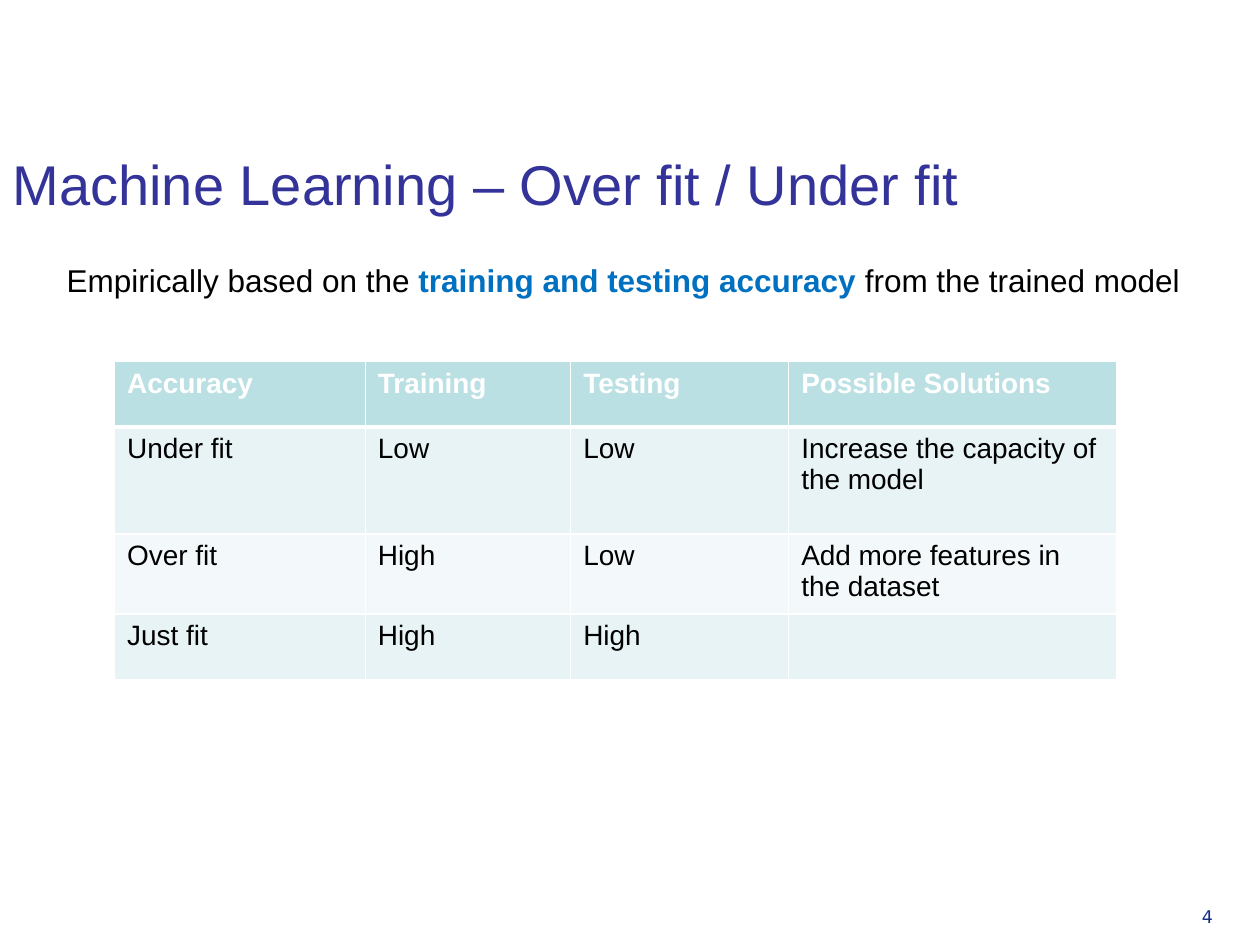
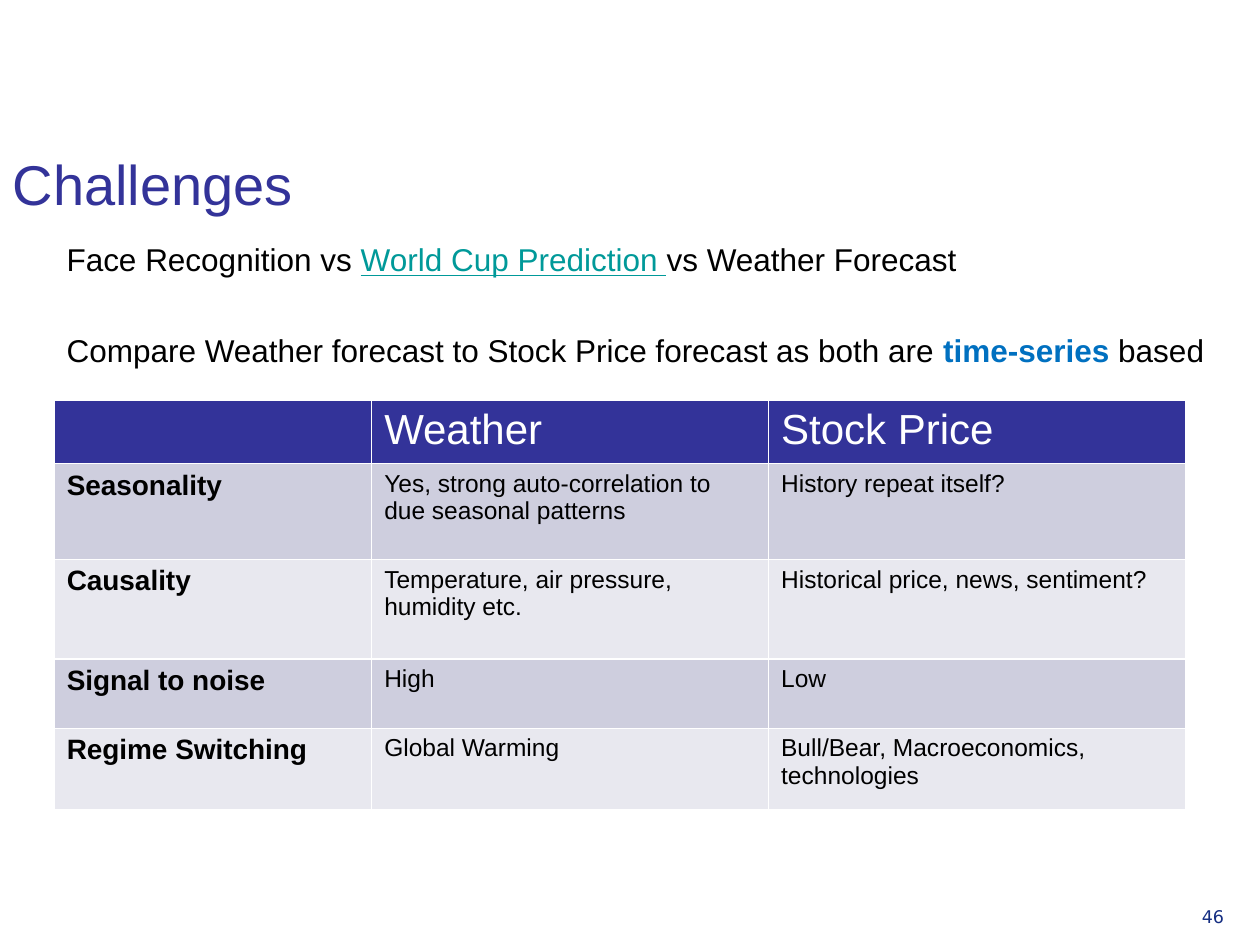
from pptx import Presentation
from pptx.dml.color import RGBColor
from pptx.enum.text import MSO_ANCHOR, PP_ALIGN
from pptx.oxml.ns import qn
from pptx.util import Inches, Pt
from lxml import etree

TOP = MSO_ANCHOR.TOP
BOTTOM = MSO_ANCHOR.BOTTOM
LEFT = PP_ALIGN.LEFT
TITLE_ONLY = 5

COLORS = {
    "white": "FFFFFF",
    "black": "000000",
    "indigo": "333399",
    "navy": "152E82",
    "blue": "0070C0",
    "teal": "009999",
    "aqua": "BBE0E3",
    "aqua_band": "E7F3F4",
    "aqua_pale": "F3F9FA",
    "indigo_band": "CECEDE",
    "indigo_pale": "E8E8EF",
}


class Deck:
    text_font = "Arial"
    number_font = "DejaVu Sans"

    def __init__(self):
        self.presentation = Presentation()
        self.presentation.slide_width = Inches(10)
        self.presentation.slide_height = Inches(7.5)
        self.slide = None

    def color(self, name):
        return RGBColor.from_string(COLORS[name])

    def style(self, font, size, color="black", bold=False, name=None):
        font.name = name or self.text_font
        font.size = Pt(size)
        font.bold = bold
        font.color.rgb = self.color(color)

    def add_slide(self, title, number):
        layout = self.presentation.slide_layouts[TITLE_ONLY]
        self.slide = self.presentation.slides.add_slide(layout)
        shape = self.slide.shapes.title
        shape.left, shape.top = Inches(0), Inches(0.68)
        shape.width, shape.height = Inches(9.17), Inches(1.09)
        frame = shape.text_frame
        frame.vertical_anchor = BOTTOM
        frame.text = title
        paragraph = frame.paragraphs[0]
        paragraph.alignment = LEFT
        self.style(paragraph.font, 32, "indigo")
        self.add_number(number)

    def add_box(self, left, top, width, height):
        box = self.slide.shapes.add_textbox(
            Inches(left), Inches(top), Inches(width), Inches(height))
        box.text_frame.word_wrap = True
        return box.text_frame

    def add_number(self, number):
        frame = self.add_box(9.44, 7.14, 0.55, 0.39)
        frame.text = str(number)
        self.style(frame.paragraphs[0].font, 10, "navy", name=self.number_font)

    def add_body(self, top, height, lines, gap=0):
        frame = self.add_box(0.43, top, 9.45, height)
        for index, line in enumerate(lines):
            paragraph = frame.add_paragraph() if index else frame.paragraphs[0]
            if index:
                paragraph.space_before = Pt(gap)
            for text, color, bold, underline in line:
                run = paragraph.add_run()
                run.text = text
                self.style(run.font, 18, color, bold)
                run.font.underline = underline

    def add_borders(self, cell, bottom=1, top=1):
        properties = cell._tc.get_or_add_tcPr()
        for side, width in (("L", 1), ("R", 1), ("T", top), ("B", bottom)):
            line = etree.SubElement(properties, qn(f"a:ln{side}"), w=str(Pt(width)))
            fill = etree.SubElement(line, qn("a:solidFill"))
            etree.SubElement(fill, qn("a:srgbClr"), val=COLORS["white"])

    def add_table(self, left, top, widths, heights, rows, fills, header, label, value, rule):
        table = self.slide.shapes.add_table(
            len(rows), len(widths), Inches(left), Inches(top),
            Inches(sum(widths)), Inches(sum(heights))).table
        for column, width in zip(table.columns, widths):
            column.width = Inches(width)
        for row, height in zip(table.rows, heights):
            row.height = Inches(height)
        head_fill, *bands = fills
        for row_index, texts in enumerate(rows):
            is_header = row_index == 0
            fill = head_fill if is_header else bands[(row_index - 1) % len(bands)]
            for column_index, text in enumerate(texts):
                cell = table.cell(row_index, column_index)
                self.add_borders(cell, bottom=rule if is_header else 1,
                                 top=rule if row_index == 1 else 1)
                cell.fill.solid()
                cell.fill.fore_color.rgb = self.color(fill)
                cell.vertical_anchor = TOP
                cell.text = text
                size, bold = header if is_header else value if column_index else label
                self.style(cell.text_frame.paragraphs[0].font, size,
                           "white" if is_header else "black", bold)


def plain(text):
    return text, "black", False, False


def strong(text):
    return text, "blue", True, False


def underlined(text):
    return text, "teal", False, True


def add_fit_slide(deck):
    deck.add_slide("Machine Learning – Over fit / Under fit", 4)
    deck.add_body(2.02, 0.71, [[
        plain("Empirically based on the "),
        strong("training and testing accuracy "),
        plain("from the trained model"),
    ]])
    deck.add_table(
        0.91, 2.87, [1.99, 1.63, 1.73, 2.6], [0.52, 0.85, 0.59, 0.52],
        [
            ["Accuracy", "Training", "Testing", "Possible Solutions"],
            ["Under fit", "Low", "Low", "Increase the capacity of the model"],
            ["Over fit", "High", "Low", "Add more features in the dataset"],
            ["Just fit", "High", "High", ""],
        ],
        fills=["aqua", "aqua_band", "aqua_pale"],
        header=(16, True), label=(16, False), value=(16, False), rule=3)


def add_challenges_slide(deck):
    deck.add_slide("Challenges", 46)
    deck.add_body(1.86, 0.87, [
        [
            plain("Face Recognition vs "),
            underlined("World Cup Prediction "),
            plain("vs Weather Forecast"),
        ],
        [
            plain("Compare Weather forecast to Stock Price forecast as both are "),
            strong("time-series"),
            plain(" based"),
        ],
    ], gap=30)
    deck.add_table(
        0.43, 3.18, [2.52, 3.15, 3.31], [0.48, 0.76, 0.79, 0.55, 0.65],
        [
            ["", "Weather", "Stock Price"],
            ["Seasonality", "Yes, strong auto-correlation to due seasonal patterns",
             "History repeat itself?"],
            ["Causality", "Temperature, air pressure, humidity etc.",
             "Historical price, news, sentiment?"],
            ["Signal to noise", "High", "Low"],
            ["Regime Switching", "Global Warming",
             "Bull/Bear, Macroeconomics, technologies"],
        ],
        fills=["indigo", "indigo_band", "indigo_pale"],
        header=(24, False), label=(16, True), value=(14, False), rule=1)


def main():
    deck = Deck()
    add_fit_slide(deck)
    add_challenges_slide(deck)
    deck.presentation.save("out.pptx")


if __name__ == "__main__":
    main()
